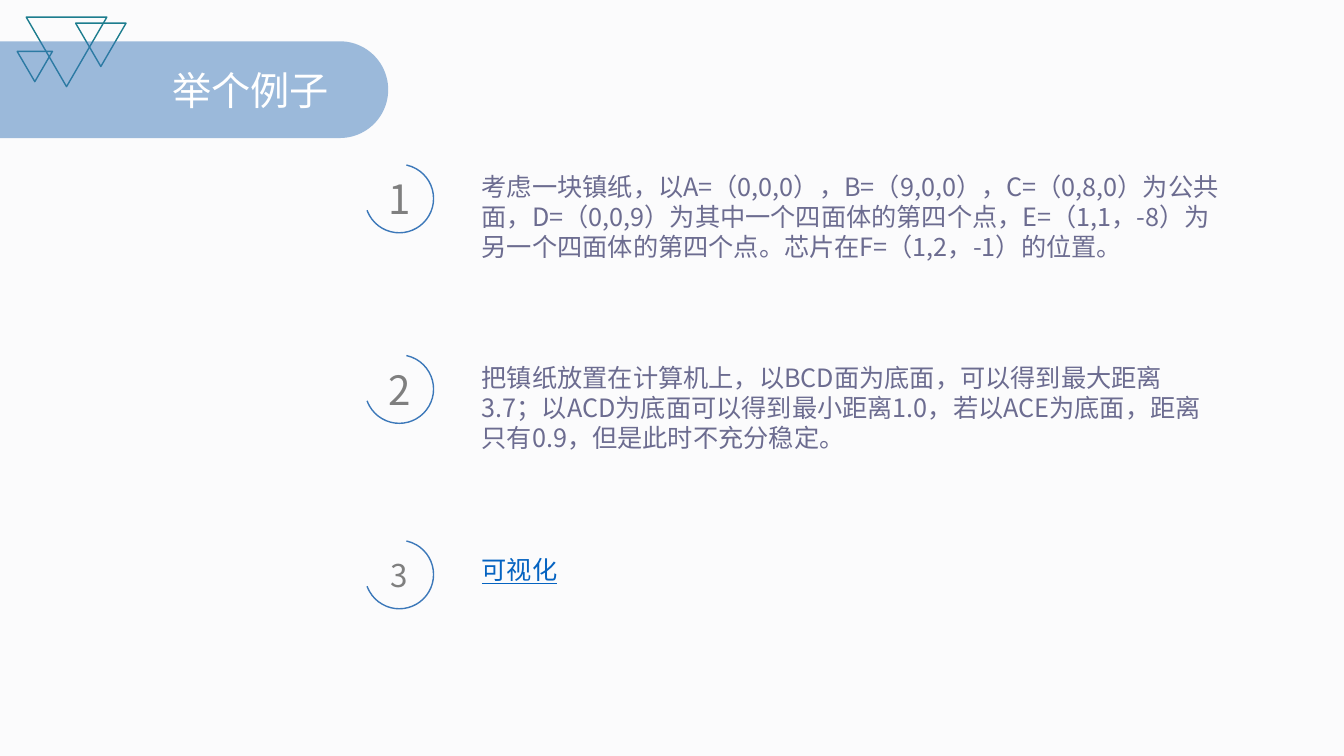
from pptx import Presentation
from pptx.dml.color import RGBColor
from pptx.enum.shapes import MSO_SHAPE
from pptx.enum.text import MSO_ANCHOR, MSO_AUTO_SIZE, PP_ALIGN
from pptx.oxml.ns import qn
from pptx.util import Inches, Pt
from lxml import etree

ARC, TRIANGLE = MSO_SHAPE.ARC, MSO_SHAPE.ISOSCELES_TRIANGLE
HALF_PILL = MSO_SHAPE.ROUND_2_SAME_RECTANGLE
TOP, MIDDLE = MSO_ANCHOR.TOP, MSO_ANCHOR.MIDDLE
LEFT, CENTER, RIGHT = PP_ALIGN.LEFT, PP_ALIGN.CENTER, PP_ALIGN.RIGHT

TITLE = "举个例子"
# number, number size, ring top, text top, text, text style
ITEMS = [
    ("1", 28.8, 1.63, 1.65,
     "考虑一块镇纸，以A=（0,0,0），B=（9,0,0），C=（0,8,0）为公共面，"
     "D=（0,0,9）为其中一个四面体的第四个点，E=（1,1，-8）为另一个四面体的第四个点。"
     "芯片在F=（1,2，-1）的位置。", "body"),
    ("2", 28.8, 3.52, 3.54,
     "把镇纸放置在计算机上，以BCD面为底面，可以得到最大距离3.7；"
     "以ACD为底面可以得到最小距离1.0，若以ACE为底面，距离只有0.9，"
     "但是此时不充分稳定。", "body"),
    ("3", 22.4, 5.36, 5.45, "可视化", "link"),
]
TRIANGLES = [(0.26, 0.17, 0.8, 0.69), (0.75, 0.23, 0.5, 0.43), (0.17, 0.51, 0.35, 0.3)]

THEME = {
    "font": "Noto Sans CJK SC",
    "background": "FBFBFC",
    "accent": "3C78B9",
    "triangle": "1D7D8E",
    "title": {"size": 28, "color": "FFFFFF"},
    "number": {"color": "7F7F7F"},
    "body": {"size": 18, "color": "6C6C90"},
    "link": {"size": 18, "color": "0563C1", "underline": True},
}
RING_LEFT, RING_SIZE = 3.62, 0.68
RING_ANGLES = (282, 160)
NUMBER_WIDTH = 0.42
TEXT_LEFT, TEXT_WIDTH, TEXT_HEIGHT = 4.68, 7.51, 1.21
BANNER_TOP, BANNER_WIDTH, BANNER_HEIGHT = 0.41, 3.85, 0.96
TITLE_WIDTH = 3.36


def rgb(color):
    return RGBColor.from_string(color)


def write(sp, text, style, align=LEFT, anchor=TOP):
    tf = sp.text_frame
    for name, value in {"word_wrap": True, "auto_size": MSO_AUTO_SIZE.NONE,
                        "vertical_anchor": anchor}.items():
        setattr(tf, name, value)
    p = tf.paragraphs[0]
    p.alignment = align
    r = p.add_run()
    r.text = text
    font = r.font
    for name, value in {"name": THEME["font"], "size": Pt(style["size"]),
                        "underline": style.get("underline")}.items():
        setattr(font, name, value)
    font.color.rgb = rgb(style["color"])
    east_asian = etree.SubElement(r._r.get_or_add_rPr(), qn("a:ea"))
    east_asian.set("typeface", THEME["font"])


def add_text(s, box, *args):
    write(s.shapes.add_textbox(*map(Inches, box)), *args)


def add_outline(s, kind, box, color):
    sp = s.shapes.add_shape(kind, *map(Inches, box))
    sp.shadow.inherit = False
    sp.fill.background()
    sp.line.color.rgb = rgb(color)
    sp.line.width = Pt(1)
    return sp


def add_item(s, number, size, ring_top, text_top, text, style):
    ring = add_outline(s, ARC, (RING_LEFT, ring_top, RING_SIZE, RING_SIZE), THEME["accent"])
    for i, angle in enumerate(RING_ANGLES):
        ring.adjustments[i] = angle * 0.6  # 60000 units a degree, scaled by 100000
    number_left = RING_LEFT + (RING_SIZE - NUMBER_WIDTH) / 2
    add_text(s, (number_left, ring_top, NUMBER_WIDTH, RING_SIZE), number,
             {**THEME["number"], "size": size}, CENTER, MIDDLE)
    add_text(s, (TEXT_LEFT, text_top, TEXT_WIDTH, TEXT_HEIGHT), text, THEME[style])


def add_banner(s):
    """Half-transparent bar with a round right end: an upright shape turned 90 degrees."""
    left = (BANNER_WIDTH - BANNER_HEIGHT) / 2
    box = (left, BANNER_TOP - left, BANNER_HEIGHT, BANNER_WIDTH)
    sp = s.shapes.add_shape(HALF_PILL, *map(Inches, box))
    sp.rotation = 90
    sp.adjustments[0] = 0.5
    sp.shadow.inherit = False
    sp.line.fill.background()
    sp.fill.solid()
    sp.fill.fore_color.rgb = rgb(THEME["accent"])
    color = sp._element.spPr.find(qn("a:solidFill"))[0]
    etree.SubElement(color, qn("a:alpha")).set("val", "50000")


def add_title(s):
    title = s.shapes.title
    box = (0, BANNER_TOP, TITLE_WIDTH, BANNER_HEIGHT)
    for name, value in zip(("left", "top", "width", "height"), box):
        setattr(title, name, Inches(value))
    write(title, TITLE, THEME["title"], RIGHT, MIDDLE)
    s.shapes._spTree.append(title._element)  # in front of the banner


def main():
    prs = Presentation()
    prs.slide_width, prs.slide_height = Inches(13.33), Inches(7.5)
    s = prs.slides.add_slide(prs.slide_layouts.get_by_name("Title Only"))
    s.background.fill.solid()
    s.background.fill.fore_color.rgb = rgb(THEME["background"])
    for item in ITEMS:
        add_item(s, *item)
    for box in TRIANGLES:
        add_outline(s, TRIANGLE, box, THEME["triangle"]).rotation = 180
    add_banner(s)
    add_title(s)
    prs.save("out.pptx")


if __name__ == "__main__":
    main()
